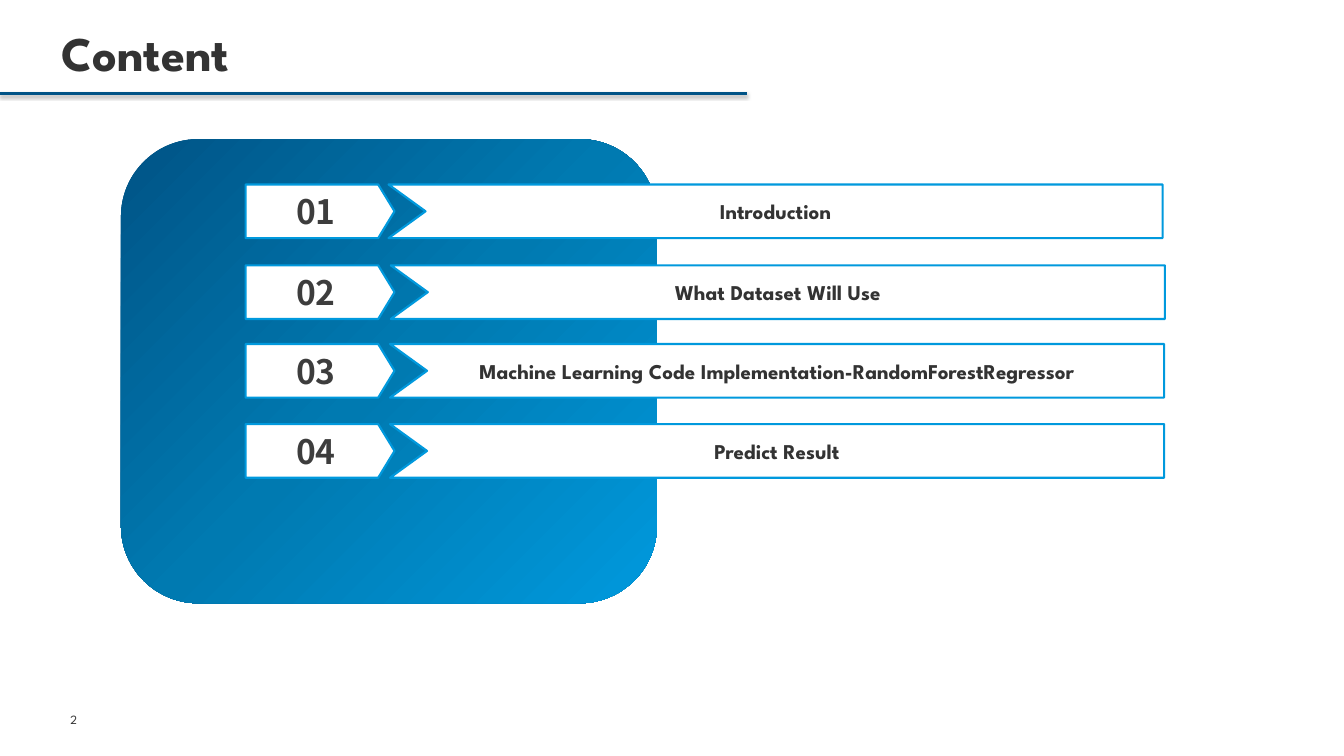
from copy import deepcopy
from dataclasses import dataclass

from lxml.etree import SubElement
from pptx import Presentation
from pptx.dml.color import RGBColor as Color
from pptx.enum.shapes import MSO_CONNECTOR as Connector, MSO_SHAPE as Preset
from pptx.enum.text import MSO_ANCHOR as Anchor, PP_ALIGN as Align
from pptx.oxml.ns import qn
from pptx.shapes.autoshape import Shape
from pptx.slide import Slide
from pptx.util import Inches, Pt


@dataclass(frozen=True)
class Theme:
    white: str = "FFFFFF"
    ink: str = "333333"
    number_ink: str = "3D3D3D"
    deep: str = "005386"
    middle: str = "007AB1"
    bright: str = "0099DD"
    body_font: str = "League Spartan"
    number_font: str = "Noto Sans CJK SC"
    title_size: int = 46
    number_size: int = 32
    topic_size: int = 20
    page_number_size: int = 12


@dataclass(frozen=True)
class Topic:
    label: str
    top: float
    bar_left: float


THEME = Theme()
BADGE_LEFT, BADGE_WIDTH = 3.25, 1.97
BAR_WIDTH, BAR_NOTCH = 10.24, 0.49
ROW_HEIGHT = 0.71
TOPICS = (
    Topic("Introduction", 2.44, 5.14),
    Topic("What Dataset Will Use", 3.51, 5.17),
    Topic("Machine Learning Code Implementation-RandomForestRegressor", 4.55, 5.16),
    Topic("Predict Result", 5.61, 5.16),
)


def write(box: Shape, text: str, *, size: int, color: str = THEME.ink,
          font: str = THEME.body_font, bold: bool = True,
          align: Align = Align.CENTER, anchor: Anchor = Anchor.MIDDLE,
          margins: tuple[float, float] = (0.1, 0.05),
          line_spacing: float | None = None) -> None:
    frame = box.text_frame
    frame.word_wrap = True
    frame.vertical_anchor = anchor
    frame.margin_left = frame.margin_right = Inches(margins[0])
    frame.margin_top = frame.margin_bottom = Inches(margins[1])
    para = frame.paragraphs[0]
    para.alignment = align
    para.line_spacing = line_spacing
    span = para.add_run()
    span.text = text
    span.font.name = font
    span.font.size = Pt(size)
    span.font.bold = bold
    span.font.color.rgb = Color.from_string(color)


def style_outlined(shape: Shape) -> None:
    shape.shadow.inherit = False
    shape.fill.solid()
    shape.fill.fore_color.rgb = Color.from_string(THEME.white)
    shape.line.color.rgb = Color.from_string(THEME.bright)
    shape.line.width = Pt(2)


def draw_title(page: Slide, text: str) -> None:
    title = page.shapes.title
    title.left, title.top = Inches(0.81), Inches(-0.01)
    title.width, title.height = Inches(6.43), Inches(1.09)
    write(title, text, size=THEME.title_size, align=Align.LEFT,
          anchor=Anchor.BOTTOM, margins=(0, 0), line_spacing=0.89)


def draw_title_rule(page: Slide) -> None:
    rule = page.shapes.add_connector(
        Connector.STRAIGHT, Inches(0), Inches(1.24), Inches(9.88), Inches(1.24))
    rule.line.color.rgb = Color.from_string(THEME.deep)
    rule.line.width = Pt(3)
    effects = SubElement(rule._element.spPr, qn("a:effectLst"))
    shadow = SubElement(effects, qn("a:outerShdw"), blurRad=str(Pt(3.1)),
                        dist=str(Pt(1.8)), dir="5400000", rotWithShape="0")
    shade = SubElement(shadow, qn("a:srgbClr"), val="000000")
    SubElement(shade, qn("a:alpha"), val="35000")


def draw_panel(page: Slide) -> None:
    panel = page.shapes.add_shape(
        Preset.ROUNDED_RECTANGLE, Inches(1.6), Inches(1.84), Inches(7.09), Inches(6.14))
    panel.shadow.inherit = False
    panel.line.fill.background()
    panel.fill.gradient()
    panel.fill.gradient_angle = 315
    first_stop = panel._element.spPr.find(".//" + qn("a:gs"))
    first_stop.addnext(deepcopy(first_stop))
    colors = (THEME.deep, THEME.middle, THEME.bright)
    for stop, color, position in zip(panel.fill.gradient_stops, colors, (0, 0.5, 1)):
        stop.color.rgb = Color.from_string(color)
        stop.position = position


def draw_topic(page: Slide, number: int, topic: Topic) -> None:
    badge = page.shapes.add_shape(
        Preset.PENTAGON, Inches(BADGE_LEFT), Inches(topic.top),
        Inches(BADGE_WIDTH), Inches(ROW_HEIGHT))
    badge.adjustments[0] = 0.305
    style_outlined(badge)
    write(badge, f"{number:02d}", size=THEME.number_size,
          color=THEME.number_ink, font=THEME.number_font)

    left, right = Inches(topic.bar_left), Inches(topic.bar_left + BAR_WIDTH)
    top, bottom = Inches(topic.top), Inches(topic.top + ROW_HEIGHT)
    notch = (Inches(topic.bar_left + BAR_NOTCH), Inches(topic.top + ROW_HEIGHT / 2))
    builder = page.shapes.build_freeform(left, top)
    builder.add_line_segments([(right, top), (right, bottom), (left, bottom), notch])
    bar = builder.convert_to_shape()
    style_outlined(bar)
    write(bar, topic.label, size=THEME.topic_size)


def draw_page_number(page: Slide, number: int) -> None:
    box = page.shapes.add_textbox(Inches(0.75), Inches(9.25), Inches(4.15), Inches(0.53))
    write(box, str(number), size=THEME.page_number_size, bold=False,
          align=Align.LEFT, margins=(0.18, 0.09))


def main() -> None:
    deck = Presentation()
    deck.slide_width, deck.slide_height = Inches(17.78), Inches(10)
    page = deck.slides.add_slide(deck.slide_layouts[5])
    draw_page_number(page, 2)
    draw_panel(page)
    for number, topic in enumerate(TOPICS, start=1):
        draw_topic(page, number, topic)
    draw_title(page, "Content")
    draw_title_rule(page)
    deck.save("out.pptx")


if __name__ == "__main__":
    main()
